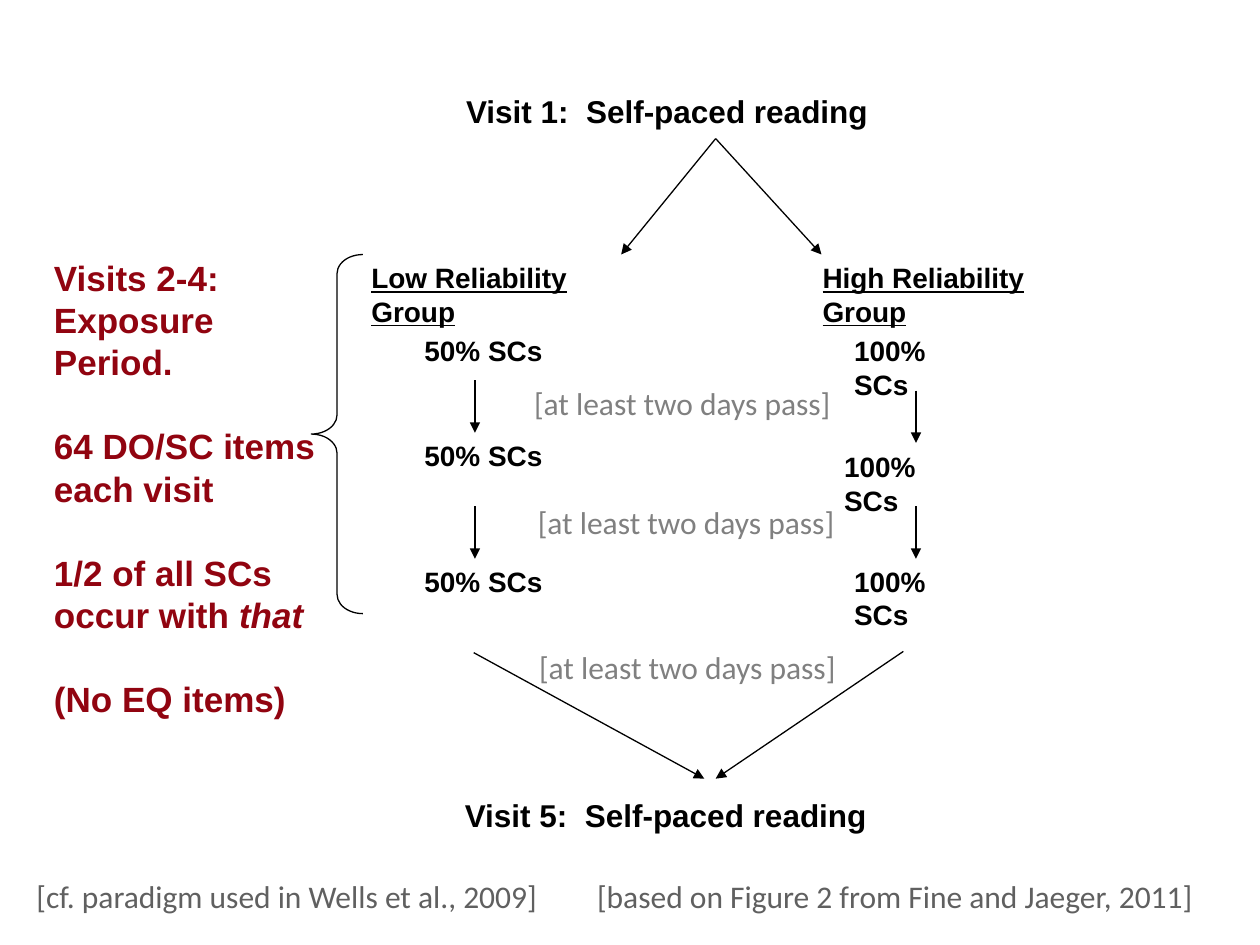
from dataclasses import dataclass

from lxml import etree
from pptx import Presentation
from pptx.dml.color import RGBColor
from pptx.enum.shapes import MSO_CONNECTOR, MSO_SHAPE
from pptx.oxml.ns import qn
from pptx.slide import Slide
from pptx.util import Inches, Length, Pt

BRACE = MSO_SHAPE.LEFT_BRACE
STRAIGHT = MSO_CONNECTOR.STRAIGHT

SLIDE_WIDTH, SLIDE_HEIGHT = Inches(10), Inches(7.5)
COLUMNS, ROWS = 100, 75
COLORS = {
    "black": "000000",
    "exposure": "910410",
    "pause": "808080",
    "citation": "606060",
}


@dataclass(frozen=True)
class Style:
    size: int
    color: str
    font: str = "Arial"
    bold: bool = True
    underline: bool = False


@dataclass(frozen=True)
class Box:
    """Left, top, width and height in grid columns and rows."""
    left: float
    top: float
    width: float
    height: float


@dataclass(frozen=True)
class Label:
    text: str
    box: Box
    style: Style


@dataclass(frozen=True)
class Arrow:
    start: tuple[float, float]
    end: tuple[float, float]


@dataclass(frozen=True)
class Line:
    """One paragraph, with an optional italic ending and a gap above."""
    text: str
    italic: str = ""
    gap: int = 0


VISIT = Style(18, "black")
GROUP = Style(16, "black", underline=True)
SHARE = Style(16, "black")
EXPOSURE = Style(20, "exposure")
PAUSE = Style(18, "pause", "Calibri", bold=False)
CITATION = Style(18, "citation", "Calibri", bold=False)

LOW_COLUMN, HIGH_COLUMN = 37.7, 72.7
SHARE_ROWS = (26, 34.3, 44.3)
PAUSE_CORNERS = ((41.4, 30), (41.7, 39.4), (41.8, 50.9))

LABELS = [
    Label("Visit 1:  Self-paced reading", Box(36, 6.8, 41.9, 5), VISIT),
    Label("Visit 5:  Self-paced reading", Box(35.9, 62.7, 41.9, 5), VISIT),
    Label("Low Reliability Group", Box(28.5, 20.2, 23, 3.7), GROUP),
    Label("High Reliability Group", Box(64.3, 20.2, 23.5, 3.7), GROUP),
    *(Label("50% SCs", Box(32.7, row, 14.2, 3.7), SHARE) for row in SHARE_ROWS),
    *(Label("100% SCs", Box(column, row, 12.5, 3.7), SHARE)
      for column, row in ((66.8, 26), (66, 35.2), (66.8, 44.3))),
    *(Label("[at least two days pass]", Box(column, row, 25.8, 4), PAUSE)
      for column, row in PAUSE_CORNERS),
    Label("[cf. paradigm used in Wells et al., 2009]",
          Box(1.9, 69.1, 42.2, 4), CITATION),
    Label("[based on Figure 2 from Fine and Jaeger, 2011]",
          Box(46.4, 69.1, 51.5, 4), CITATION),
]

SPLIT = (56.8, 11)
ARROWS = [
    Arrow(SPLIT, (49.3, 20.2)),
    Arrow(SPLIT, (65.2, 20.2)),
    *(Arrow((column, row), (column, row + 4.15))
      for column, row in ((LOW_COLUMN, 30.2), (LOW_COLUMN, 40.2),
                          (HIGH_COLUMN, 31), (HIGH_COLUMN, 40.2))),
    Arrow((37.6, 51.8), (55.9, 61.8)),
    Arrow((71.7, 51.7), (56.8, 61.8)),
]

EXPOSURE_BOX = Box(3.3, 19.9, 22.7, 38)
EXPOSURE_LINES = [
    Line("Visits 2-4:  Exposure"),
    Line("Period."),
    Line("64 DO/SC items each visit", gap=24),
    Line("1/2 of all SCs", gap=24),
    Line("occur with ", italic="that"),
    Line("(No EQ items)", gap=24),
]
BRACE_BOX = Box(24.7, 20.2, 4.1, 28.5)


def across(columns: float) -> Length:
    return Length(round(SLIDE_WIDTH * columns / COLUMNS))


def down(rows: float) -> Length:
    return Length(round(SLIDE_HEIGHT * rows / ROWS))


def place(box: Box) -> tuple[Length, Length, Length, Length]:
    return across(box.left), down(box.top), across(box.width), down(box.height)


def rgb(name: str) -> RGBColor:
    return RGBColor.from_string(COLORS[name])


def add_text(slide: Slide, box: Box, lines: list[Line], style: Style) -> None:
    frame = slide.shapes.add_textbox(*place(box)).text_frame
    frame.word_wrap = True
    for index, line in enumerate(lines):
        paragraph = frame.add_paragraph() if index else frame.paragraphs[0]
        paragraph.space_before = Pt(line.gap)
        font = paragraph.font
        font.name, font.size, font.bold = style.font, Pt(style.size), style.bold
        font.underline = style.underline
        font.color.rgb = rgb(style.color)
        paragraph.add_run().text = line.text
        if line.italic:
            run = paragraph.add_run()
            run.text = line.italic
            run.font.italic = True


def add_arrow(slide: Slide, arrow: Arrow) -> None:
    (left, top), (right, bottom) = arrow.start, arrow.end
    connector = slide.shapes.add_connector(
        STRAIGHT, across(left), down(top), across(right), down(bottom))
    connector.line.color.rgb = rgb("black")
    connector.line.width = Pt(0.75)
    properties = connector.line._get_or_add_ln()
    etree.SubElement(properties, qn("a:tailEnd"), type="triangle")
    etree.SubElement(connector._element.spPr, qn("a:effectLst"))


def add_brace(slide: Slide, box: Box) -> None:
    brace = slide.shapes.add_shape(BRACE, *place(box))
    brace.adjustments[0] = 0.37
    brace.adjustments[1] = 0.5
    brace.shadow.inherit = False
    brace.fill.background()
    brace.line.color.rgb = rgb("black")
    brace.line.width = Pt(0.75)


def main() -> None:
    presentation = Presentation()
    presentation.slide_width = SLIDE_WIDTH
    presentation.slide_height = SLIDE_HEIGHT
    slide = presentation.slides.add_slide(presentation.slide_layouts[6])
    add_brace(slide, BRACE_BOX)
    add_text(slide, EXPOSURE_BOX, EXPOSURE_LINES, EXPOSURE)
    for arrow in ARROWS:
        add_arrow(slide, arrow)
    for label in LABELS:
        add_text(slide, label.box, [Line(label.text)], label.style)
    presentation.save("out.pptx")


if __name__ == "__main__":
    main()
